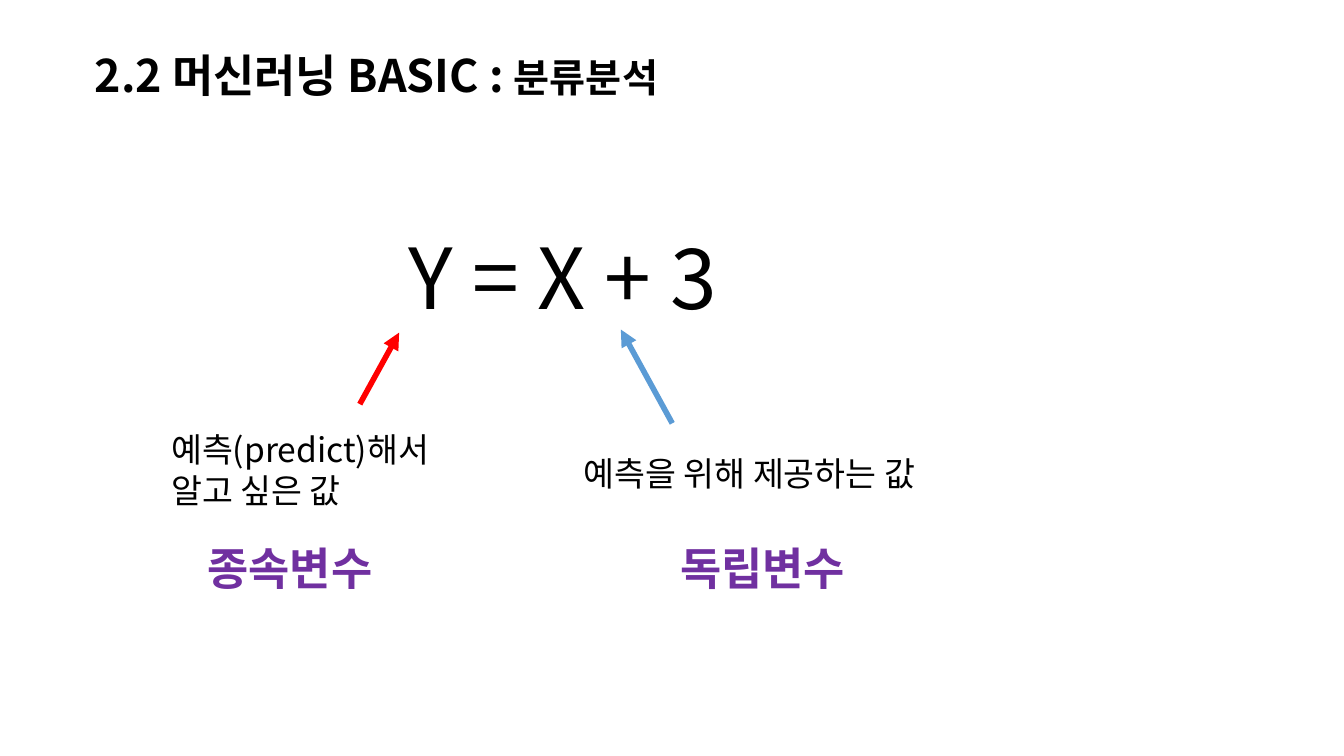
"""Build the slide on dependent and independent variables in classification."""
from lxml import etree
from pptx import Presentation
from pptx.dml.color import RGBColor
from pptx.enum import shapes, text
from pptx.oxml.ns import qn
from pptx.util import Pt

FONT = "Noto Sans CJK KR"
BLACK, PURPLE, RED, BLUE = "000000", "7030A0", "FF0000", "5B9BD5"
LABEL_TOP = 383

TEXTS = [
    ((60.5, 30.2, 465, 46), [[("2.2 머신러닝 BASIC : ", 32), ("분류분석", 28)]], BLACK, True),
    ((285, 157.7, 289, 80), [[("Y = X + 3", 60)]], BLACK, False),
    ((115.2, 303.1, 219, 65.5), [[("예측(predict)해서 ", 24)], [("알고 싶은 값", 24)]], BLACK, False),
    ((409.7, 319.7, 283, 36), [[("예측을 위해 제공하는 값", 24)]], BLACK, False),
    ((141.1, LABEL_TOP, 144, 46), [[("종속변수", 32)]], PURPLE, True),
    ((478.8, LABEL_TOP, 144, 46), [[("독립변수", 32)]], PURPLE, True),
]
ARROWS = [
    ((257, 288.7, 285.1, 237.6), RED),
    ((480.2, 302.4, 443.5, 235.4), BLUE),
]


def rgb(color):
    return RGBColor.from_string(color)


def add_text(s, box, paragraphs, color, bold):
    tf = s.shapes.add_textbox(*map(Pt, box)).text_frame
    tf.word_wrap = False
    tf.auto_size = text.MSO_AUTO_SIZE.SHAPE_TO_FIT_TEXT
    for i, runs in enumerate(paragraphs):
        p = tf.add_paragraph() if i else tf.paragraphs[0]
        p.font.name, p.font.bold = FONT, bold
        p.font.color.rgb = rgb(color)
        props = p._p.pPr.find(qn("a:defRPr"))
        etree.SubElement(props, qn("a:ea"), typeface=FONT)
        for words, size in runs:
            r = p.add_run()
            r.text, r.font.size = words, Pt(size)


def add_arrow(s, ends, color):
    line = s.shapes.add_connector(shapes.MSO_CONNECTOR.STRAIGHT, *map(Pt, ends))
    line.line.color.rgb, line.line.width = rgb(color), Pt(4)
    etree.SubElement(line.line._get_or_add_ln(), qn("a:tailEnd"), type="triangle")
    etree.SubElement(line._element.spPr, qn("a:effectLst"))


prs = Presentation()
prs.slide_width, prs.slide_height = Pt(960), Pt(540)
s = prs.slides.add_slide(prs.slide_layouts[6])
for item in TEXTS:
    add_text(s, *item)
for item in ARROWS:
    add_arrow(s, *item)
prs.save("out.pptx")
